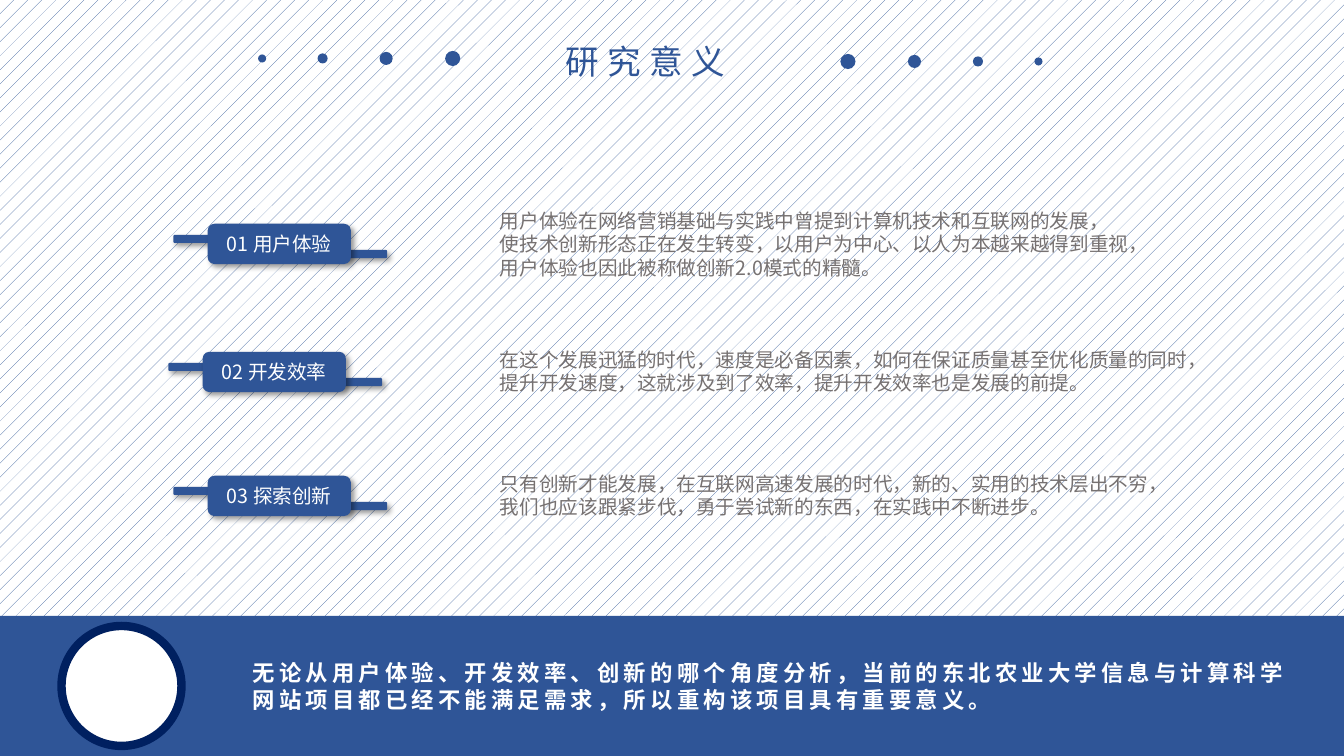
from pptx import Presentation, util as u
from pptx.dml.color import RGBColor
from pptx.enum import dml, shapes, text
from pptx.oxml import parse_xml
from pptx.oxml.ns import nsdecls, qn

# Content
TITLE = "研究意义"
ROWS = [  # label, left, top, text top, text width, lines
    ("01 用户体验", 2.06, 2.22, 2.02, 6.68, [
        "用户体验在网络营销基础与实践中曾提到计算机技术和互联网的发展，",
        "使技术创新形态正在发生转变，以用户为中心、以人为本越来越得到重视，",
        "用户体验也因此被称做创新2.0模式的精髓。"]),
    ("02 开发效率", 2.01, 3.49, 3.4, 7.27, [
        "在这个发展迅猛的时代，速度是必备因素，如何在保证质量甚至优化质量的同时，",
        "提升开发速度，这就涉及到了效率，提升开发效率也是发展的前提。"]),
    ("03 探索创新", 2.06, 4.72, 4.63, 6.88, [
        "只有创新才能发展，在互联网高速发展的时代，新的、实用的技术层出不穷，",
        "我们也应该跟紧步伐，勇于尝试新的东西，在实践中不断进步。"]),
]
CLOSING = [
    "无论从用户体验、开发效率、创新的哪个角度分析，当前的东北农业大学信息与计算科学",
    "网站项目都已经不能满足需求，所以重构该项目具有重要意义。",
]
DOTS = [(0, 0.08), (0.6, 0.1), (1.23, 0.13), (1.89, 0.15)]  # offset, size
BLUE, NAVY, GREY, WHITE = "2F5597", "002060", "767171", "FFFFFF"
SANS, HEAD = "Noto Sans CJK SC", "Noto Sans CJK JP"
KIND = shapes.MSO_SHAPE

deck = Presentation()
deck.slide_width, deck.slide_height = u.Inches(13.33), u.Inches(7.5)
slide = deck.slides.add_slide(deck.slide_layouts[5])


def color(code):
    return RGBColor.from_string(code)


def place(*box):
    return [u.Inches(v) for v in box]


def add(kind, box, fill=BLUE):
    shape = slide.shapes.add_shape(kind, *place(*box))
    shape.shadow.inherit = False
    shape.fill.solid()
    shape.fill.fore_color.rgb = color(fill)
    shape.line.fill.background()
    return shape


def shade(shape):
    effects = shape._element.spPr.find(qn("a:effectLst"))
    effects.append(parse_xml(
        f'<a:outerShdw {nsdecls("a")} blurRad="{u.Pt(4)}" dist="{u.Pt(3)}" '
        'dir="2700000" algn="tl" rotWithShape="0"><a:srgbClr val="000000">'
        '<a:alpha val="40000"/></a:srgbClr></a:outerShdw>'))


def write(shape, lines, size, ink, face=SANS, align=text.PP_ALIGN.LEFT,
          bold=False, gap=0):
    frame = shape.text_frame
    for i, line in enumerate(lines):
        para = frame.add_paragraph() if i else frame.paragraphs[0]
        para.alignment = align
        run = para.add_run()
        run.text = line
        font = run.font
        font.size, font.bold, font.name = u.Pt(size), bold, face
        font.color.rgb = color(ink)
        props = run._r.get_or_add_rPr()
        props.set("spc", str(gap * 100))
        props.find(qn("a:latin")).addnext(
            parse_xml(f'<a:ea {nsdecls("a")} typeface="{face}"/>'))


def fit(shape):
    frame = shape.text_frame
    frame.word_wrap = False
    frame.auto_size = text.MSO_AUTO_SIZE.SHAPE_TO_FIT_TEXT
    frame.vertical_anchor = text.MSO_ANCHOR.TOP


def note(box, lines, size, ink, **style):
    shape = slide.shapes.add_textbox(*place(*box))
    fit(shape)
    write(shape, lines, size, ink, **style)


# Background
back = slide.background.fill
back.patterned()
back.pattern = dml.MSO_PATTERN.PERCENT_5
back.fore_color.rgb, back.back_color.rgb = color(BLUE), color(WHITE)

# Title between two mirrored rows of dots
for start, way, mid in [(2.6, 1, 0.58), (10.3, -1, 0.61)]:
    for shift, size in DOTS:
        x = start + way * shift
        add(KIND.OVAL, (x - size / 2, mid - size / 2, size, size))
title = slide.shapes.title
title.left, title.top, title.width, title.height = place(5.51, 0.36, 1.88, 0.5)
fit(title)
write(title, [TITLE], 24, BLUE, face=HEAD, gap=6)

# Closing band
add(KIND.RECTANGLE, (0, 6.11, 13.33, 1.39))
ring = add(KIND.OVAL, (0.61, 6.21, 1.19, 1.19), WHITE)
ring.line.color.rgb, ring.line.width = color(NAVY), u.Pt(6)
note((2.41, 6.49, 10.59, 0.64), CLOSING, 16, WHITE, bold=True, gap=3)

# Labels with side bars, and their text
for label, x, y, top, width, lines in ROWS:
    for dx, dy in [(0.91, 0.26), (-0.34, 0.11)]:
        shade(add(KIND.ROUNDED_RECTANGLE, (x + dx, y + dy, 0.87, 0.08)))
    tag = add(KIND.ROUNDED_RECTANGLE, (x, y, 1.42, 0.4))
    shade(tag)
    tag.text_frame.vertical_anchor = text.MSO_ANCHOR.MIDDLE
    write(tag, [label], 14, WHITE, align=text.PP_ALIGN.CENTER)
    note((4.86, top, width, 0.1 + 0.24 * len(lines)), lines, 14, GREY)

deck.save("out.pptx")
